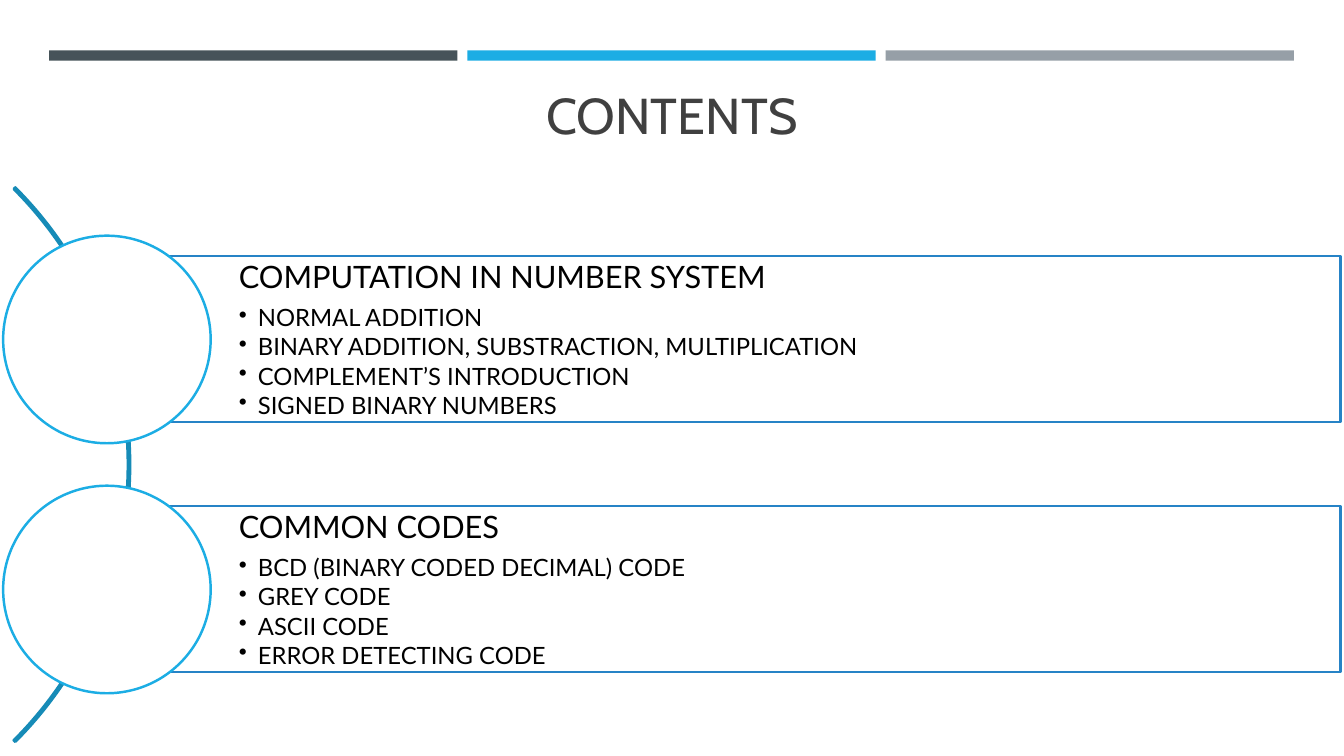
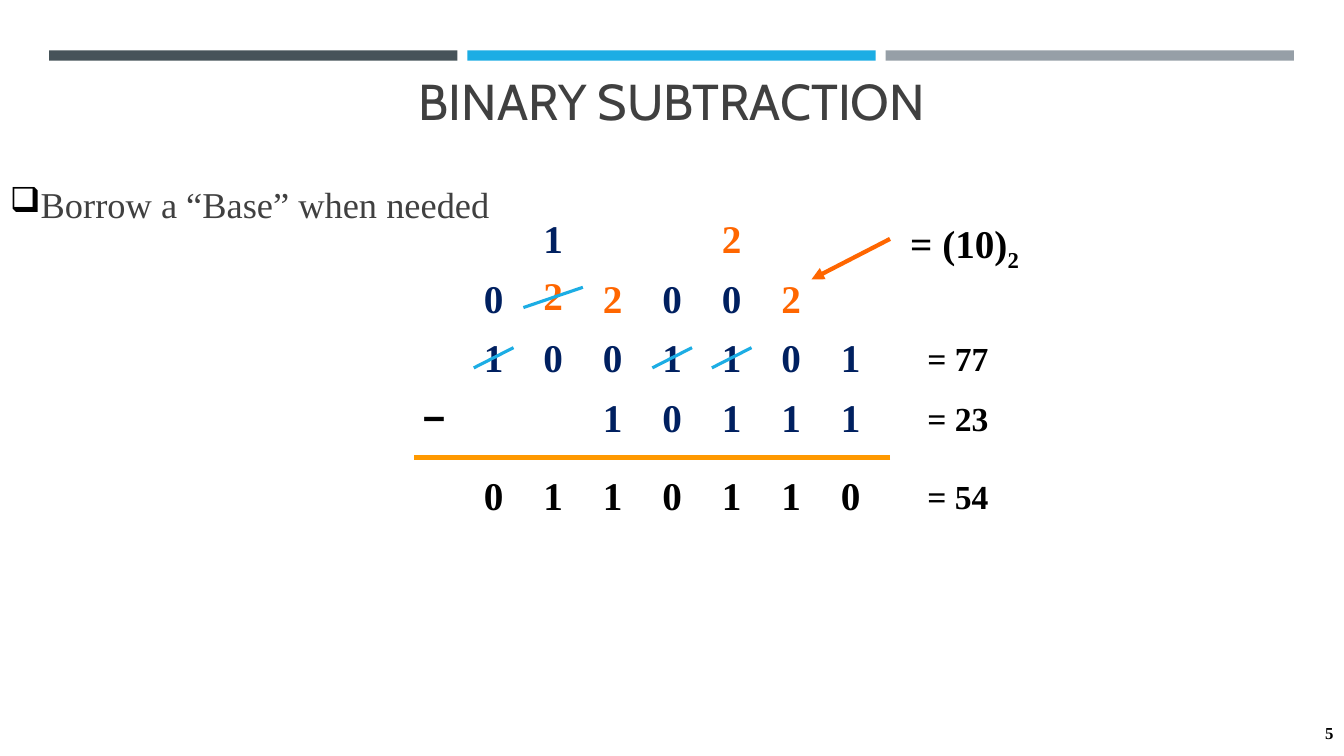
"""Build two slides: a contents overview and a worked binary subtraction."""
from lxml import etree
from pptx import Presentation
from pptx import util as u
from pptx.dml.color import RGBColor
from pptx.enum import shapes, text
from pptx.oxml.ns import qn

COLORS = {
    "slate": "465359", "sky": "1CADE4", "gray": "969FA7", "title": "404040",
    "black": "000000", "white": "FFFFFF", "arc": "168BB7", "frame": "2683C6",
    "navy": "002060", "orange": "FF6600", "amber": "FF9900",
}
SERIF = "Times New Roman"
SLIDE_WIDTH, SLIDE_HEIGHT = 33.87, 19.05
BANDS = ["slate", "sky", "gray"]

TOPICS = [
    ("COMPUTATION IN NUMBER SYSTEM", [
        "NORMAL ADDITION",
        "BINARY ADDITION, SUBSTRACTION, MULTIPLICATION",
        "COMPLEMENT’S INTRODUCTION",
        "SIGNED BINARY NUMBERS",
    ]),
    ("COMMON CODES", [
        "BCD (BINARY CODED DECIMAL) CODE",
        "GREY CODE",
        "ASCII CODE",
        "ERROR DETECTING CODE",
    ]),
]

# Each row: top, one character per column ("." is blank), digit colour, value
ROWS = [
    (5.54, "..1..2..", "navy", ""),
    (7.04, ".0.2002.", "navy", ""),
    (6.96, "..2.....", "navy", ""),
    (8.54, ".1001101", "navy", "= 77"),
    (10.04, "−..10111", "navy", "= 23"),
    (12.02, ".0110110", "black", "= 54"),
]
STRIKES = [(2, 7.02, 0.25), (1, 8.54, 0), (4, 8.54, 0), (5, 8.54, 0)]
GRID_LEFT, COLUMN_STEP, DIGIT_WIDTH, DIGIT_HEIGHT = 10.44, 1.5, 1, 1.07


def rgb(name):
    return RGBColor.from_string(COLORS[name])


def cm(*lengths):
    return [u.Cm(length) for length in lengths]


def write(frame, words, size=28, font=SERIF, color="black", bold=False, align="LEFT",
          spacing=None, after=None, indent=0, bullet=None, bullet_size=100):
    para = frame.add_paragraph() if frame.text else frame.paragraphs[0]
    para.alignment = getattr(text.PP_ALIGN, align)
    if spacing:
        para.line_spacing = spacing
    if after:
        para.space_after = u.Pt(after)
    if bullet:
        props = para._p.get_or_add_pPr()
        props.set("marL", str(u.Cm(indent)))
        props.set("indent", str(-u.Cm(indent)))
        tint = etree.SubElement(props, qn("a:buClr"))
        etree.SubElement(tint, qn("a:srgbClr"), val=COLORS["black"])
        etree.SubElement(props, qn("a:buSzPct"), val=str(bullet_size * 1000))
        etree.SubElement(props, qn("a:buChar"), char=bullet)
    for index, part in enumerate(words.split("_")):
        span = para.add_run()
        span.text = part
        span.font.size, span.font.name, span.font.bold = u.Pt(size), font, bold
        span.font.color.rgb = rgb(color)
        if index:
            span.font._element.set("baseline", "-25000")


def set_frame(frame, insets=(0, 0, 0, 0), anchor="TOP"):
    frame.word_wrap = True
    frame.auto_size = text.MSO_AUTO_SIZE.NONE
    frame.vertical_anchor = getattr(text.MSO_ANCHOR, anchor)
    (frame.margin_left, frame.margin_top,
     frame.margin_right, frame.margin_bottom) = cm(*insets)


def add_text(slide, words, place, insets=(0, 0, 0, 0), anchor="TOP", **style):
    box = slide.shapes.add_textbox(*cm(*place))
    set_frame(box.text_frame, insets, anchor)
    write(box.text_frame, words, **style)


def add_shape(slide, kind, place, fill=None, line=None):
    shape = slide.shapes.add_shape(getattr(shapes.MSO_SHAPE, kind), *cm(*place))
    shape.shadow.inherit = False
    if fill:
        shape.fill.solid()
        shape.fill.fore_color.rgb = rgb(fill)
    else:
        shape.fill.background()
    if line:
        shape.line.color.rgb = rgb(line)
        shape.line.width = u.Pt(1.75)
    else:
        shape.line.fill.background()
    return shape


def add_line(slide, ends, color, width, arrow=False):
    line = slide.shapes.add_connector(shapes.MSO_CONNECTOR.STRAIGHT, *cm(*ends))
    line.line.color.rgb = rgb(color)
    line.line.width = u.Pt(width)
    props = line.element.spPr
    if arrow:
        etree.SubElement(props.find(qn("a:ln")), qn("a:tailEnd"), type="triangle")
    etree.SubElement(props, qn("a:effectLst"))


def add_slide(deck, heading, title_height):
    slide = deck.slides.add_slide(deck.slide_layouts[5])
    for index, color in enumerate(BANDS):
        add_shape(slide, "RECTANGLE", (1.24 + 10.54 * index, 1.27, 10.29, 0.26), color)
    title = slide.shapes.title
    title.left, title.top, title.width, title.height = cm(0, 1.5, SLIDE_WIDTH, title_height)
    set_frame(title.text_frame, (0.25, 0.13, 0.25, 0.13), "MIDDLE")
    write(title.text_frame, heading, size=36, font="Cabin", color="title", align="CENTER")
    return slide


def build_contents(deck):
    slide = add_slide(deck, "CONTENTS", 2.77)
    arc = add_shape(slide, "BLOCK_ARC", (-16.48, 1.83, 19.76, 19.76), line="arc")
    for index, value in enumerate((189, 27, 0.003)):
        arc.adjustments[index] = value
    for index, (heading, items) in enumerate(TOPICS):
        top = 6.45 + 6.3 * index
        panel = add_shape(slide, "RECTANGLE", (2.69, top, 31.09, 4.19), "white", "frame")
        set_frame(panel.text_frame, (3.33, 0.15, 0.15, 0.15))
        write(panel.text_frame, heading, size=22, font="Lato", spacing=0.9, after=7.7)
        for item in items:
            write(panel.text_frame, item, size=17, font="Lato", spacing=0.9, after=2.55,
                  indent=0.48, bullet="•")
        add_shape(slide, "OVAL", (0.08, top - 0.51, 5.23, 5.23), "white", "sky")


def build_subtraction(deck):
    slide = add_slide(deck, "BINARY SUBTRACTION", 2.08)
    add_text(slide, "Borrow a “Base” when needed", (0, 3.91, SLIDE_WIDTH, 15.14),
             insets=(0.25, 0.13, 0.25, 0.13), size=26, color="title", spacing=1.5,
             indent=0.76, bullet="❑", bullet_size=95)
    add_text(slide, "5", (30.94, 17.96, 2.92, 1.02), insets=(0.25, 0.13, 0.25, 0.13),
             anchor="MIDDLE", size=12, bold=True, align="RIGHT")
    for top, digits, color, value in ROWS:
        for column, digit in enumerate(digits):
            if digit != ".":
                add_text(slide, digit,
                         (GRID_LEFT + COLUMN_STEP * column, top, DIGIT_WIDTH, DIGIT_HEIGHT),
                         font="Arial" if digit == "−" else SERIF,
                         color={"2": "orange", "−": "black"}.get(digit, color),
                         bold=True, align="CENTER", spacing=0.9)
        if value:
            add_text(slide, value, (23.37, top + 0.1, 2, DIGIT_HEIGHT),
                     size=24, bold=True, spacing=0.9)
    add_text(slide, "= (10)_2", (22.94, 5.54, 3.5, DIGIT_HEIGHT), bold=True, spacing=0.9)
    for column, top, overhang in STRIKES:
        left = GRID_LEFT + COLUMN_STEP * column
        add_line(slide, (left - overhang, top + 0.73, left + DIGIT_WIDTH + overhang, top + 0.22),
                 "sky", 2.25)
    add_line(slide, (22.43, 11.53, GRID_LEFT, 11.53), "amber", 3)
    add_line(slide, (22.43, 6.02, 20.45, 7.04), "orange", 3, arrow=True)


def main():
    deck = Presentation()
    deck.slide_width, deck.slide_height = cm(SLIDE_WIDTH, SLIDE_HEIGHT)
    build_contents(deck)
    build_subtraction(deck)
    deck.save("out.pptx")


if __name__ == "__main__":
    main()
